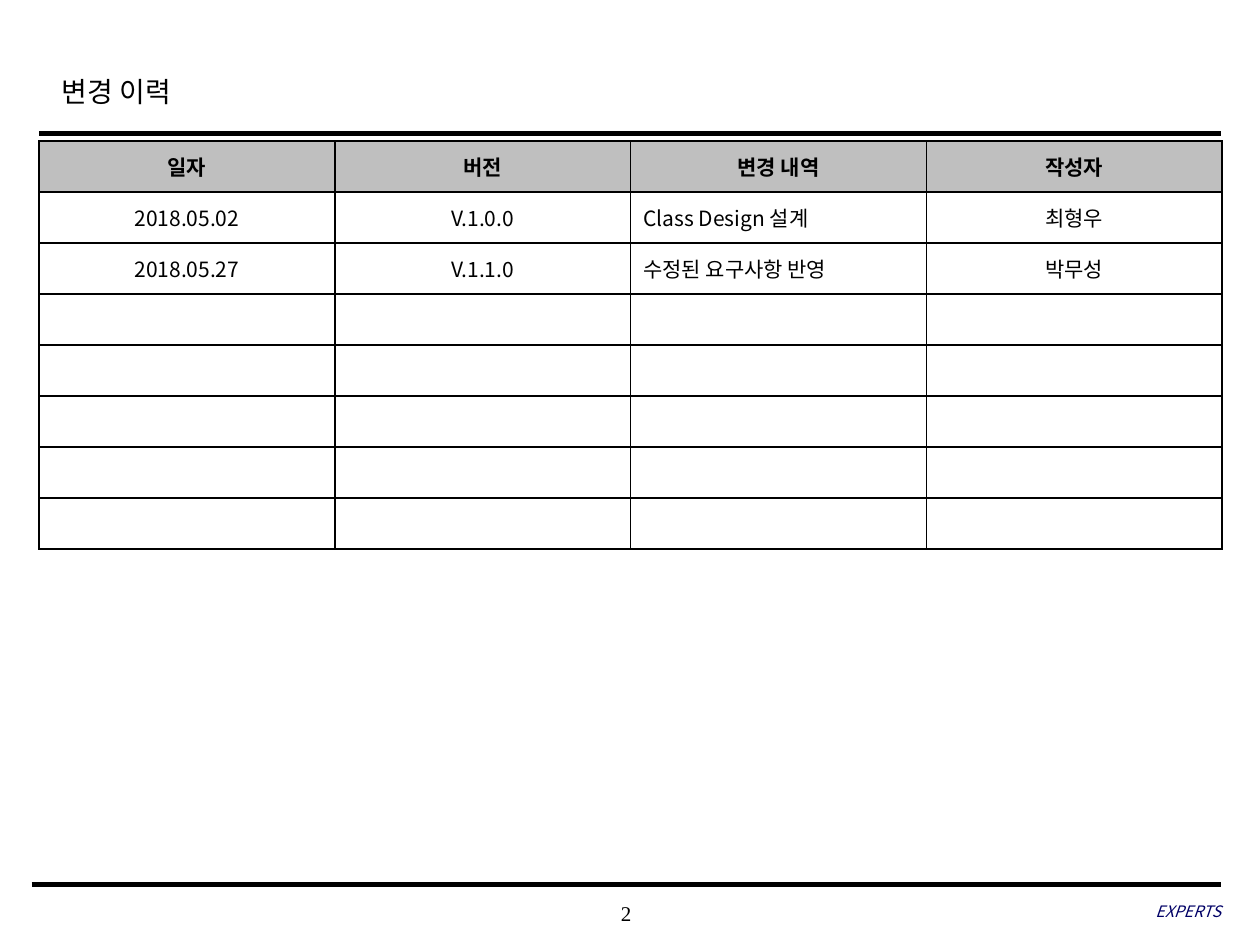
import pptx
import pptx.util
import pptx.dml.color
import pptx.enum.shapes
import pptx.enum.text
import pptx.oxml
import pptx.oxml.ns
from lxml import etree

Inches, Pt = pptx.util.Inches, pptx.util.Pt
RGBColor = pptx.dml.color.RGBColor
PP_ALIGN = pptx.enum.text.PP_ALIGN
MIDDLE = pptx.enum.text.MSO_ANCHOR.MIDDLE
qn = pptx.oxml.ns.qn

BLACK = RGBColor(0x00, 0x00, 0x00)
WHITE = RGBColor(0xFF, 0xFF, 0xFF)
GRAY = RGBColor(0xBF, 0xBF, 0xBF)
NAVY = RGBColor(0x00, 0x00, 0x66)
SANS, SERIF = "Noto Sans CJK KR", "Times New Roman"


def write(p, text, size, font, color=BLACK, align=None):
    p.text = text
    p.alignment = align
    for r in p.runs:
        r.font.size = Pt(size)
        r.font.name = font
        r.font.color.rgb = color
        if font == SANS:
            etree.SubElement(r.font._element, qn("a:ea"), typeface=font)


def set_borders(cell):
    tcPr = cell._tc.get_or_add_tcPr()
    for i, side in enumerate("LRTB"):
        tcPr.insert(i, pptx.oxml.parse_xml(
            f'<a:ln{side} {pptx.oxml.ns.nsdecls("a")} w="{Pt(1)}">'
            f'<a:solidFill><a:srgbClr val="{BLACK}"/></a:solidFill></a:ln{side}>'))


prs = pptx.Presentation()
prs.slide_width, prs.slide_height = Inches(10), Inches(7.5)
s = prs.slides.add_slide(prs.slide_layouts[5])

# Title
title = s.shapes.title
title.left, title.top = Inches(0.39), Inches(0.49)
title.width, title.height = Inches(7.55), Inches(0.5)
tf = title.text_frame
tf.auto_size = pptx.enum.text.MSO_AUTO_SIZE.NONE
tf.vertical_anchor = pptx.enum.text.MSO_ANCHOR.TOP
write(tf.paragraphs[0], "변경 이력", 16, SERIF, align=PP_ALIGN.LEFT)
tf.paragraphs[0].line_spacing = 1.2

# Rules under the title and above the footer
for left, y, weight in [(0.31, 1.06, 2.5), (0.25, 7.02, 3)]:
    line = s.shapes.add_connector(
        pptx.enum.shapes.MSO_CONNECTOR.STRAIGHT,
        Inches(left), Inches(y), Inches(9.69), Inches(y))
    line.line.color.rgb = BLACK
    line.line.width = Pt(weight)
    etree.SubElement(line._element.spPr, qn("a:effectLst"))

# Change history table
rows = [
    ["일자", "버전", "변경 내역", "작성자"],
    ["2018.05.02", "V.1.0.0", "Class Design 설계", "최형우"],
    ["2018.05.27", "V.1.1.0", "수정된 요구사항 반영", "박무성"],
] + [[""] * 4 for _ in range(5)]
table = s.shapes.add_table(len(rows), 4, Inches(0.31), Inches(1.12),
                           Inches(9.39), Inches(3.24)).table
for i, row in enumerate(rows):
    for j, text in enumerate(row):
        cell = table.cell(i, j)
        cell.vertical_anchor = MIDDLE
        cell.fill.solid()
        cell.fill.fore_color.rgb = GRAY if i == 0 else WHITE
        set_borders(cell)
        p = cell.text_frame.paragraphs[0]
        align = PP_ALIGN.LEFT if j == 2 and i > 0 else PP_ALIGN.CENTER
        write(p, text, 12, SANS, align=align)
        for r in p.runs:
            r.font.bold = i == 0
        if not text:
            etree.SubElement(p._p, qn("a:endParaRPr"), sz="1200")

# Footer: page number and team name
for text, left, top, width, size, font, color, align in [
    ("2", 3.93, 7.08, 2.08, 12, SERIF, BLACK, PP_ALIGN.CENTER),
    ("EXPERTS", 6.63, 7.07, 3.06, 9, SANS, NAVY, PP_ALIGN.RIGHT),
]:
    sp = s.shapes.add_textbox(Inches(left), Inches(top), Inches(width), Inches(0.33))
    tf = sp.text_frame
    tf.word_wrap = True
    tf.vertical_anchor = MIDDLE
    tf.margin_left = tf.margin_right = tf.margin_top = tf.margin_bottom = 0
    write(tf.paragraphs[0], text, size, font, color, align)
    tf.paragraphs[0].runs[0].font.italic = font == SANS

prs.save("out.pptx")
